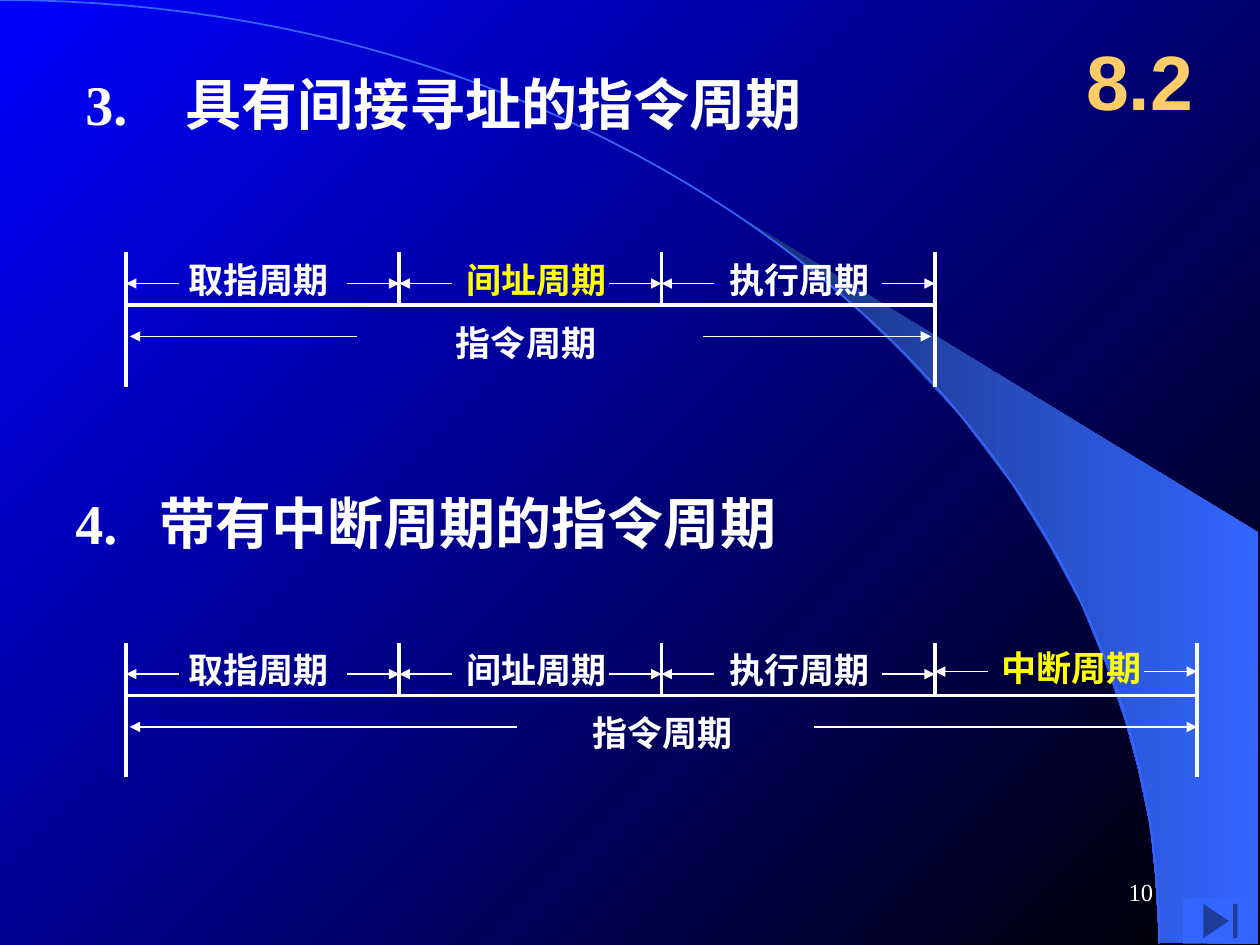
from lxml import etree
from pptx import Presentation
from pptx.dml.color import RGBColor
from pptx.enum import shapes as es, text as et
from pptx.oxml.ns import qn
from pptx.util import Inches, Pt

HUES = {"white": "FFFFFF", "yellow": "FFFF00", "gold": "FFCC66",
        "blue": "3366FF", "navy": "182F76", "sky": "0000FF", "black": "000000"}
INK = {name: RGBColor.from_string(code) for name, code in HUES.items()}

deck = Presentation()
deck.slide_width, deck.slide_height = Inches(10), Inches(7.5)
slide = deck.slides.add_slide(deck.slide_layouts[5])
items = slide.shapes


def write(box, words, size, hue="white", bold=True, face="Times New Roman", tab=None):
    para = box.text_frame.paragraphs[0]
    para.text = words
    if tab:
        tabs = etree.SubElement(para._p.get_or_add_pPr(), qn("a:tabLst"))
        etree.SubElement(tabs, qn("a:tab"), pos=str(Inches(tab)), algn="l")
    font = para.font
    font.name, font.size, font.bold = face, Pt(size), bold
    font.color.rgb = INK[hue]
    return para


def rule(x1, y1, x2, y2, width=2.25, arrow=False):
    line = items.add_connector(es.MSO_CONNECTOR.STRAIGHT,
                               Inches(x1), Inches(y1), Inches(x2), Inches(y2))
    line.line.color.rgb = INK["white"]
    line.line.width = Pt(width)
    if arrow:
        etree.SubElement(line.line._get_or_add_ln(), qn("a:tailEnd"), type="triangle")
    etree.SubElement(line._element.spPr, qn("a:effectLst"))


back = slide.background.fill
back.gradient()
back.gradient_angle = 315
for stop, hue in zip(back.gradient_stops, ["sky", "black"]):
    stop.color.rgb = INK[hue]

edge = [(9.2, 7.48), (9.99, 7.49), (9.99, 4.23), (5.89, 1.73), (6.24, 1.99),
        (6.53, 2.22), (6.85, 2.5), (7.16, 2.8), (7.62, 3.3), (8.03, 3.84),
        (8.32, 4.31), (8.58, 4.79), (8.78, 5.28), (8.93, 5.72), (9.03, 6.09),
        (9.13, 6.56), (9.17, 6.96)]
steps = [n / 60 for n in range(61)]
curve = [(3 * t * (1 - t) ** 2 * 5.08 + (3 * t ** 2 * (1 - t) + t ** 3) * 9.2,
          3 * t ** 2 * (1 - t) * 3.35 + t ** 3 * 7.49) for t in steps]
forms = []
for points, closed in [(edge, True), (curve, False)]:
    spots = [(Inches(x), Inches(y)) for x, y in points]
    maker = items.build_freeform(*spots[0], scale=1.0)
    maker.add_line_segments(spots[1:], close=closed)
    form = maker.convert_to_shape()
    form.shadow.inherit = False
    forms.append(form)
wedge, arc = forms
wedge.line.fill.background()
wedge.fill.gradient()
wedge.fill.gradient_angle = 0
for stop, hue in zip(wedge.fill.gradient_stops, ["navy", "blue"]):
    stop.color.rgb = INK[hue]
arc.fill.background()
arc.line.color.rgb = INK["blue"]
arc.line.width = Pt(1)

title = items.title
title.left, title.top = Inches(8.42), Inches(0.17)
title.width, title.height = Inches(1.25), Inches(0.92)
title.text_frame.auto_size = et.MSO_AUTO_SIZE.NONE
title.text_frame.vertical_anchor = et.MSO_ANCHOR.MIDDLE
write(title, "8.2", 44, "gold", face="Arial").alignment = et.PP_ALIGN.CENTER

for x, y, words, tab in [(0.58, 0.5, "3.\t具有间接寻址的指令周期", 0.79),
                         (0.5, 3.83, "4.\t带有中断周期的指令周期", 0.67)]:
    head = items.add_textbox(Inches(x), Inches(y), Inches(6.25), Inches(0.64))
    head.text_frame.word_wrap = True
    write(head, words, 32, tab=tab)

ticks = [1, 3.17, 5.25, 7.42, 9.5]
names = [("取指周期", 1.4, 0), ("间址周期", 3.6, 0),
         ("执行周期", 5.69, 0), ("中断周期", 7.85, -0.02)]
charts = [(2, 3, "间址周期", 3.52, 2.83, 5.58, 7.39),
          (5.1, 4, "中断周期", 4.6, 4.1, 6.46, 9.5)]
for top, count, key, mid, left, right, end in charts:
    last = ticks[count]
    base = top + 0.42
    rule(1, base, last, base)
    for n, x in enumerate(ticks[:count + 1]):
        rule(x, top, x, top + 1.07 if n in (0, count) else base)
    labels = [(words, x, top + shift) for words, x, shift in names[:count]]
    for words, x, y in labels + [("指令周期", mid, top + 0.5)]:
        box = items.add_textbox(Inches(x), Inches(y), Inches(1.31), Inches(0.44))
        box.text_frame.word_wrap = False
        write(box, words, 20, "yellow" if words == key else "white")
    for n in range(count):
        y = top + 0.25 + names[n][2]
        rule(ticks[n] + 0.42, y, ticks[n], y, 0.75, True)
        rule(ticks[n + 1] - 0.42, y, ticks[n + 1], y, 0.75, True)
    rule(left, top + 0.67, 1.03, top + 0.67, 0.75, True)
    rule(right, top + 0.67, end, top + 0.67, 0.75, True)

button = items.add_shape(es.MSO_SHAPE.ACTION_BUTTON_END, Inches(9.39), Inches(7.13),
                         Inches(0.59), Inches(0.36))
button.shadow.inherit = False
button.fill.solid()
button.fill.fore_color.rgb = INK["blue"]
button.line.fill.background()

page = items.add_textbox(Inches(7.17), Inches(6.83), Inches(2.08), Inches(0.5))
page.text_frame.word_wrap = True
page.text_frame.vertical_anchor = et.MSO_ANCHOR.MIDDLE
write(page, "10", 14, bold=False).alignment = et.PP_ALIGN.RIGHT

deck.save("out.pptx")
